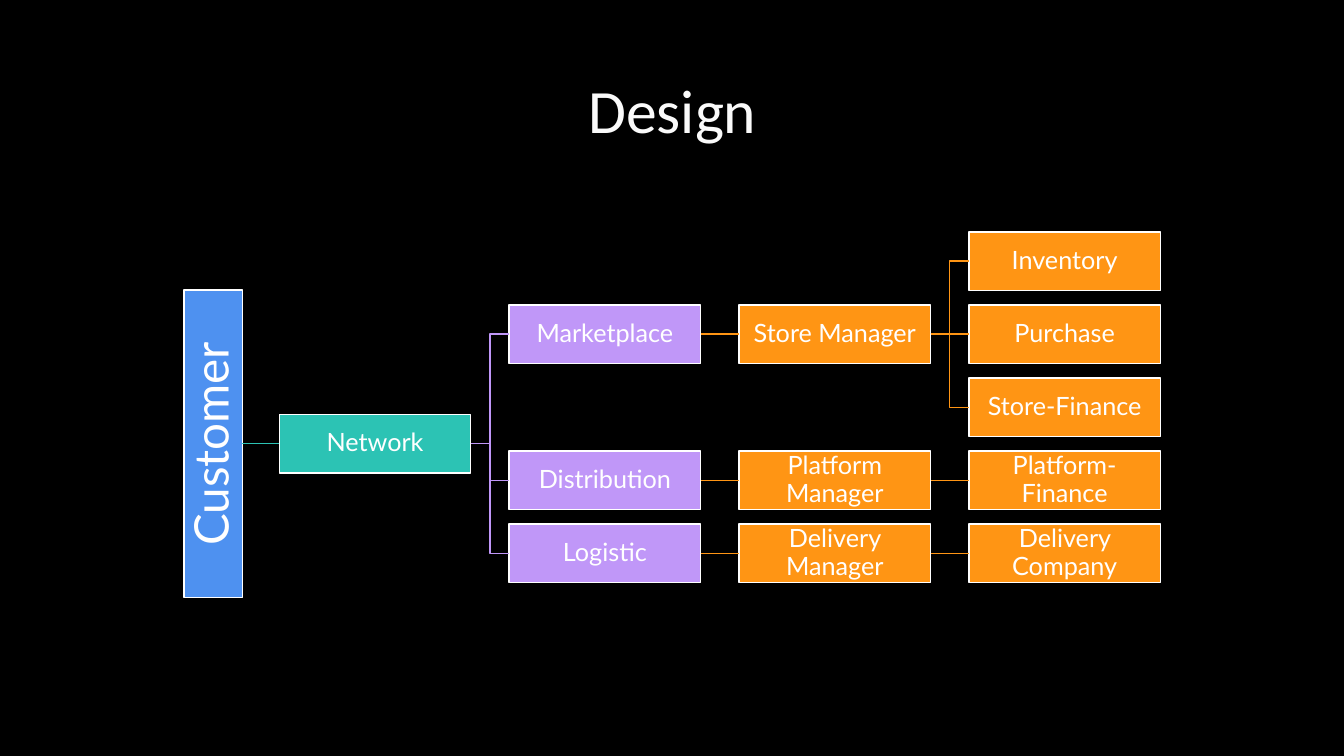
from lxml.etree import SubElement
from pptx import Presentation
from pptx.dml.color import RGBColor
from pptx.enum.shapes import MSO_CONNECTOR as LinkKind, MSO_SHAPE as Preset
from pptx.enum.text import MSO_ANCHOR as Anchor, PP_ALIGN as Align
from pptx.oxml.ns import qn
from pptx.util import Inches, Pt

BLUE, TEAL, PURPLE, ORANGE = "4E91F0", "2CC3B4", "C097F8", "FF9514"
BLACK, WHITE, OFF_WHITE = "000000", "FFFFFF", "FAFAFA"

BOX_W, BOX_H = 1.9, 0.58
FIRST_LEFT, COLUMN_PITCH = 2.77, 2.28
FIRST_MIDDLE, ROW_PITCH = 2.59, 0.725
ROOT_ROW = 2.5
BOTTOM_SITE, LEFT_SITE, RIGHT_SITE = 2, 1, 3

# name, parent, column, row, colour
BRANCHES = [
    ("Network", "Customer", 0, ROOT_ROW, TEAL),
    ("Marketplace", "Network", 1, 1, PURPLE),
    ("Distribution", "Network", 1, 3, PURPLE),
    ("Logistic", "Network", 1, 4, PURPLE),
    ("Store Manager", "Marketplace", 2, 1, ORANGE),
    ("Platform Manager", "Distribution", 2, 3, ORANGE),
    ("Delivery Manager", "Logistic", 2, 4, ORANGE),
    ("Inventory", "Store Manager", 3, 0, ORANGE),
    ("Purchase", "Store Manager", 3, 1, ORANGE),
    ("Store-Finance", "Store Manager", 3, 2, ORANGE),
    ("Platform-Finance", "Platform Manager", 3, 3, ORANGE),
    ("Delivery Company", "Delivery Manager", 3, 4, ORANGE),
]


def rgb(color):
    """Turn a hex string into a colour."""
    return RGBColor.from_string(color)


def row_middle(row):
    """Give the vertical centre of a row in inches."""
    return FIRST_MIDDLE + row * ROW_PITCH


def write(holder, text, size=18, font="Lato", color=WHITE, margin=0.01):
    """Put centred text into a shape or text box."""
    frame = holder.text_frame
    frame.word_wrap = True
    frame.vertical_anchor = Anchor.MIDDLE
    frame.margin_left = frame.margin_right = Inches(margin)
    frame.margin_top = frame.margin_bottom = Inches(margin)
    paragraph = frame.paragraphs[0]
    paragraph.alignment = Align.CENTER
    paragraph.line_spacing = 0.9
    run = paragraph.add_run()
    run.text = text
    run.font.size = Pt(size)
    run.font.name = font
    run.font.color.rgb = rgb(color)


def add_panel(slide, left, top, width, height, fill, outline=None):
    """Add a flat rectangle, with an outline if one is given."""
    panel = slide.shapes.add_shape(
        Preset.RECTANGLE, Inches(left), Inches(top), Inches(width), Inches(height))
    panel.shadow.inherit = False
    panel.fill.solid()
    panel.fill.fore_color.rgb = rgb(fill)
    if outline:
        panel.line.color.rgb = rgb(outline)
        panel.line.width = Pt(1)
    else:
        panel.line.fill.background()
    return panel


def add_branch(slide, name, column, row, fill):
    """Add one labelled box at its place in the tree grid."""
    branch = add_panel(slide, FIRST_LEFT + column * COLUMN_PITCH,
                       row_middle(row) - BOX_H / 2, BOX_W, BOX_H, fill, WHITE)
    write(branch, name)
    return branch


def add_customer(slide):
    """Add the root of the tree, turned to read upwards."""
    length = 3.05
    customer = add_panel(slide, 0.59, row_middle(ROOT_ROW) - BOX_H / 2,
                         length, BOX_H, BLUE, WHITE)
    customer.rotation = 270
    write(customer, "Customer", size=34, margin=0.02)
    return customer


def connect(slide, parent, child, color):
    """Join a parent's visible right side to a child's left side."""
    reach = parent.height if parent.rotation else parent.width
    start_x = parent.left + parent.width // 2 + reach // 2
    start_y = parent.top + parent.height // 2
    end_y = child.top + child.height // 2
    kind = LinkKind.STRAIGHT if start_y == end_y else LinkKind.ELBOW
    link = slide.shapes.add_connector(kind, start_x, start_y, child.left, end_y)
    link.begin_connect(parent, BOTTOM_SITE if parent.rotation else RIGHT_SITE)
    link.end_connect(child, LEFT_SITE)
    link.begin_x, link.begin_y = start_x, start_y
    link.line.color.rgb = rgb(color)
    link.line.width = Pt(1)
    SubElement(link._element.spPr, qn("a:effectLst"))


def main():
    """Build the design slide and save it."""
    deck = Presentation()
    deck.slide_width, deck.slide_height = Inches(13.33), Inches(7.5)
    slide = deck.slides.add_slide(deck.slide_layouts[6])
    add_panel(slide, 0, 0, 13.33, 7.5, BLACK)

    title = slide.shapes.add_textbox(Inches(0.92), Inches(0.4), Inches(11.5), Inches(1.45))
    write(title, "Design", size=44, font="Calibri", color=OFF_WHITE, margin=0.05)

    tree = {"Customer": add_customer(slide)}
    for name, parent, column, row, color in BRANCHES:
        tree[name] = add_branch(slide, name, column, row, color)
        connect(slide, tree[parent], tree[name], color)

    deck.save("out.pptx")


if __name__ == "__main__":
    main()
